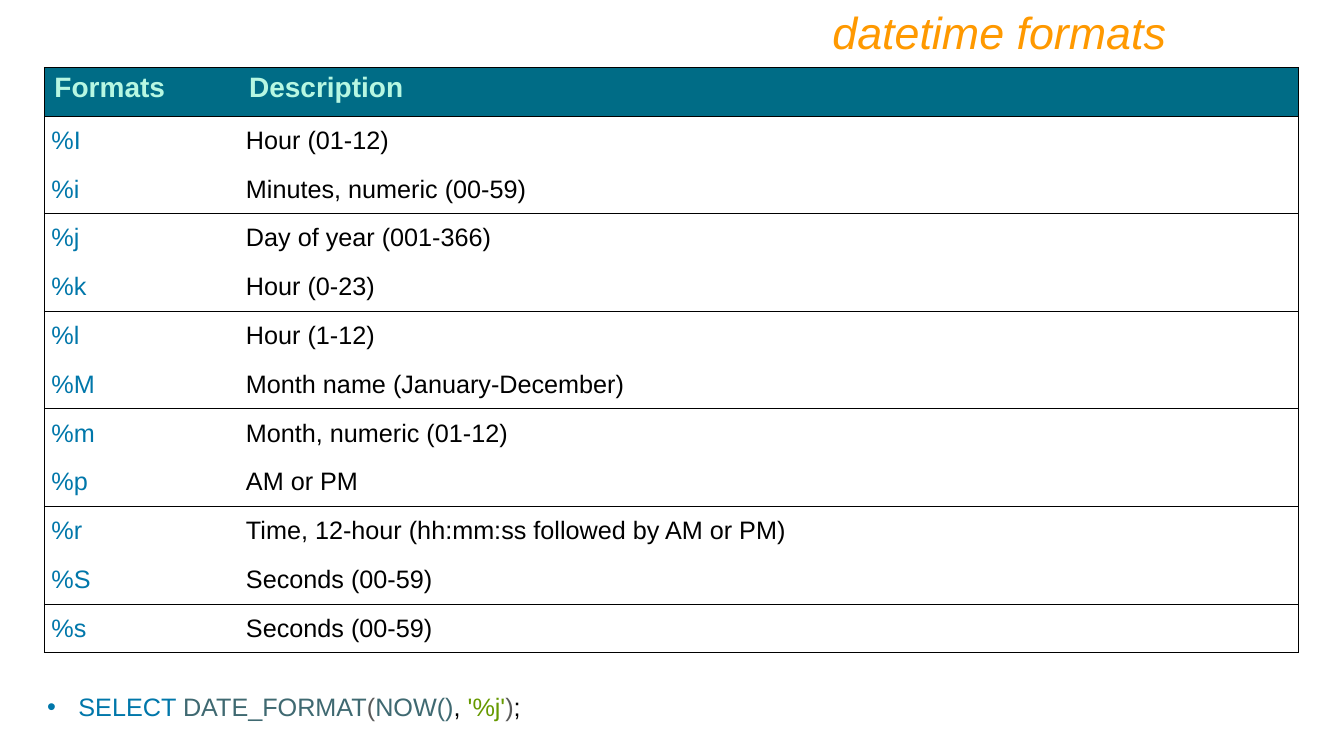
import pptx
import pptx.util
import pptx.dml.color
import pptx.enum.text
import pptx.oxml
import pptx.oxml.ns
import lxml.etree

Inches = pptx.util.Inches
Pt = pptx.util.Pt
ANCHOR = pptx.enum.text.MSO_ANCHOR
ALIGN = pptx.enum.text.PP_ALIGN

FORMATS = [
    ("%I", "Hour (01-12)"),
    ("%i", "Minutes, numeric (00-59)"),
    ("%j", "Day of year (001-366)"),
    ("%k", "Hour (0-23)"),
    ("%l", "Hour (1-12)"),
    ("%M", "Month name (January-December)"),
    ("%m", "Month, numeric (01-12)"),
    ("%p", "AM or PM"),
    ("%r", "Time, 12-hour (hh:mm:ss followed by AM or PM)"),
    ("%S", "Seconds (00-59)"),
    ("%s", "Seconds (00-59)"),
]
QUERY = [
    ("SELECT ", "0077AA"),
    ("DATE_FORMAT", "3F6971"),
    ("(", "595959"),
    ("NOW()", "3F6971"),
    (", ", "000000"),
    ("'%j'", "669900"),
    (")", "595959"),
    (";", "000000"),
]


def rgb(value):
    return pptx.dml.color.RGBColor.from_string(value)


def add_xml(parent, tag, **attrs):
    return lxml.etree.SubElement(parent, pptx.oxml.ns.qn(tag), attrs)


class Deck:
    font = "Arial"
    blue = "0077AA"
    black = "000000"
    header_fill = "006C86"
    header_text = "B7F7E2"

    def __init__(self):
        self.prs = pptx.Presentation()
        self.prs.slide_width = Inches(13.33)
        self.prs.slide_height = Inches(7.5)
        self.s = self.prs.slides.add_slide(self.prs.slide_layouts[5])

    def run(self, p, text, size, color, bold=False, italic=False):
        r = p.add_run()
        r.text = text
        r.font.name = self.font
        r.font.size = Pt(size)
        r.font.color.rgb = rgb(color)
        r.font.bold = bold
        r.font.italic = italic

    def title(self, text, left, top, width, height):
        sp = self.s.shapes.title
        sp.left, sp.top = Inches(left), Inches(top)
        sp.width, sp.height = Inches(width), Inches(height)
        tf = sp.text_frame
        tf.word_wrap = True
        tf.auto_size = pptx.enum.text.MSO_AUTO_SIZE.NONE
        tf.vertical_anchor = ANCHOR.TOP
        p = tf.paragraphs[0]
        p.alignment = ALIGN.RIGHT
        self.run(p, text, 32, "FF9900", italic=True)

    def borders(self, cell, sides):
        tcPr = cell._tc.get_or_add_tcPr()
        for side in "LRTB":
            ln = add_xml(tcPr, f"a:ln{side}", w=str(Pt(0.75)))
            if side in sides:
                fill = add_xml(ln, "a:solidFill")
                add_xml(fill, "a:srgbClr", val=self.black)
            else:
                add_xml(ln, "a:noFill")

    def cell(self, cell, text, color, sides, header):
        self.borders(cell, sides)
        if header:
            cell.fill.solid()
            cell.fill.fore_color.rgb = rgb(self.header_fill)
        else:
            cell.fill.background()
        cell.vertical_anchor = ANCHOR.TOP if header else ANCHOR.MIDDLE
        cell.margin_left = cell.margin_right = Inches(0.1 if header else 0.07)
        cell.margin_top = cell.margin_bottom = Inches(0.05 if header else 0)
        p = cell.text_frame.paragraphs[0]
        self.run(p, text, 20 if header else 18, color, bold=header)

    def table(self, header, rows, left, top, widths, height):
        count = len(rows) + 1
        frame = self.s.shapes.add_table(
            count, len(widths), Inches(left), Inches(top),
            Inches(sum(widths)), Inches(height))
        table = frame.table
        table.horz_banding = False
        for column, width in zip(table.columns, widths):
            column.width = Inches(width)
        for i, texts in enumerate([header] + rows):
            table.rows[i].height = Inches(height / count)
            sides = "T" if i == 0 or i % 2 else ""
            if i == 0 or i % 2 == 0 or i == count - 1:
                sides += "B"
            colors = (self.blue, self.black) if i else (self.header_text,) * 2
            for j, (text, color) in enumerate(zip(texts, colors)):
                self.cell(table.cell(i, j), text, color, sides + "LR"[j], i == 0)

    def bullet(self, runs, left, top, width, height):
        sp = self.s.shapes.add_textbox(
            Inches(left), Inches(top), Inches(width), Inches(height))
        tf = sp.text_frame
        tf.word_wrap = True
        p = tf.paragraphs[0]
        pPr = p._p.get_or_add_pPr()
        pPr.set("marL", str(Inches(0.31)))
        pPr.set("indent", str(-Inches(0.31)))
        add_xml(add_xml(pPr, "a:buClr"), "a:srgbClr", val=self.blue)
        add_xml(pPr, "a:buFont", typeface=self.font)
        add_xml(pPr, "a:buChar", char="•")
        for text, color in runs:
            self.run(p, text, 18, color)


def main():
    deck = Deck()
    deck.table(("Formats", "Description"), FORMATS, 0.44, 0.67, (1.93, 10.51), 5.81)
    deck.title("datetime formats", 1.67, 0, 10, 0.64)
    deck.bullet(QUERY, 0.37, 6.81, 9.67, 0.4)
    deck.prs.save("out.pptx")


if __name__ == "__main__":
    main()
